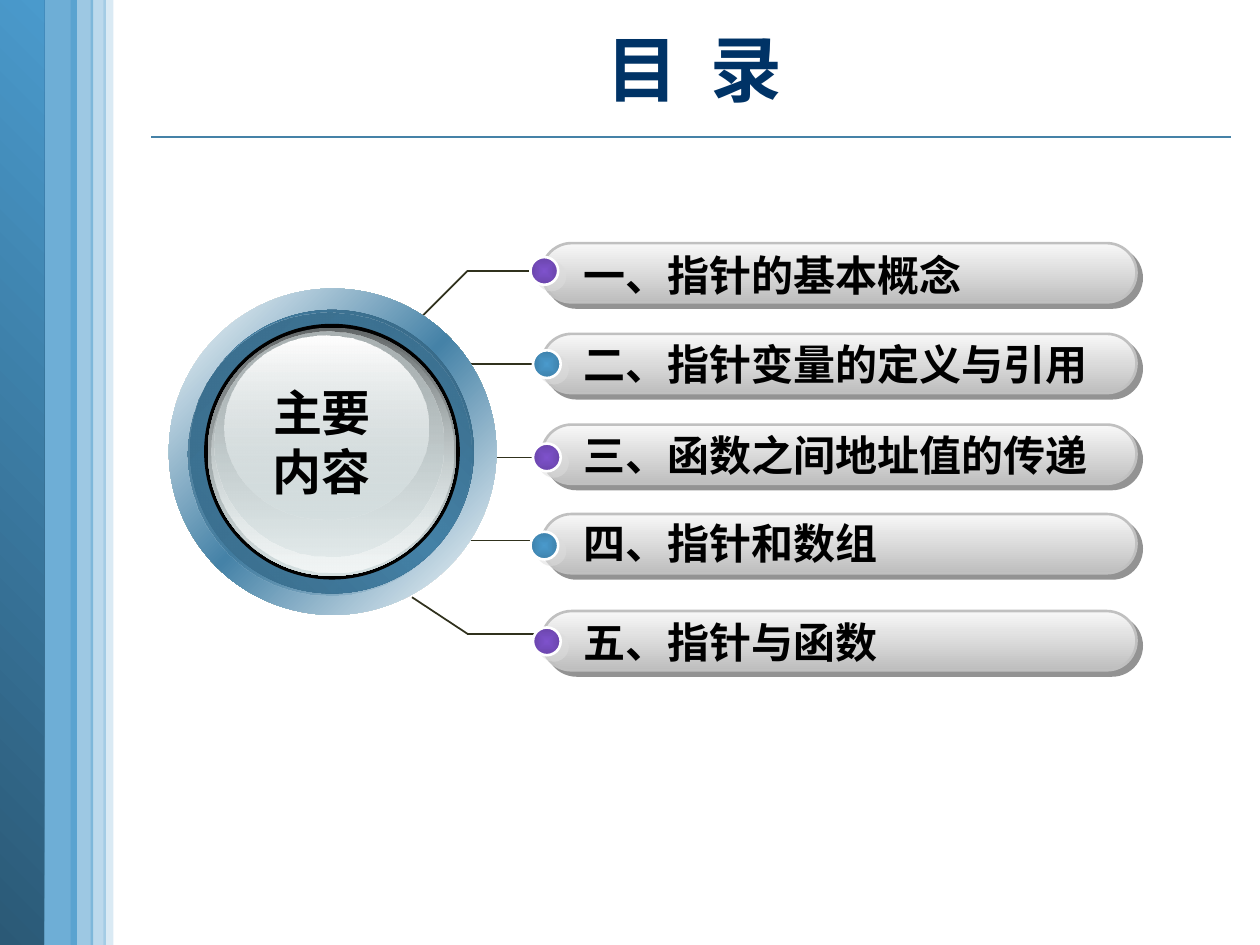
import pptx
import pptx.util
import pptx.dml.color
import pptx.enum.shapes
import pptx.enum.text
import pptx.oxml
import pptx.oxml.ns

Inches = pptx.util.Inches
Pt = pptx.util.Pt
RGB = pptx.dml.color.RGBColor.from_string
SHAPE = pptx.enum.shapes.MSO_SHAPE
ALIGN = pptx.enum.text.PP_ALIGN
ANCHOR = pptx.enum.text.MSO_ANCHOR
AUTO_SIZE = pptx.enum.text.MSO_AUTO_SIZE
NS = pptx.oxml.ns.nsdecls("a")

COLORS = {
    "sky": "4A9ACC", "steel": "4582A7", "navy": "003366", "deep": "2B5976",
    "slate": "356480", "teal": "396B89", "blue_edge": "3E81AB",
    "purple": "7E52CC", "purple_edge": "6A45AB", "olive": "30311D",
    "white": "FFFFFF", "black": "000000", "pill_light": "F8F8F8",
    "pill_dark": "BEBEBE", "pill_line": "C0C0C0", "pill_shadow": "292929",
    "dot_shadow": "DDDDDD", "glass": "D6E1E2", "glass_dark": "636869",
    "glass_mid": "AAB2B3", "glass_light": "F1F5F5",
}


def add_filled(kind, box, stops, angle=None, line=None, shadow=None):
    shape = slide.shapes.add_shape(kind, *map(Inches, box))
    shape.shadow.inherit = False
    tints = [f'<a:srgbClr val="{COLORS[name]}"><a:alpha val="{alpha * 1000}"/></a:srgbClr>'
             for name, alpha in stops]
    if len(tints) == 1:
        fill = f'<a:solidFill {NS}>{tints[0]}</a:solidFill>'
    else:
        step = 100000 // (len(tints) - 1)
        marks = "".join(f'<a:gs pos="{i * step}">{tint}</a:gs>' for i, tint in enumerate(tints))
        if angle is None:
            course = ('<a:path path="shape"><a:fillToRect l="50000" t="50000" '
                      'r="50000" b="50000"/></a:path>')
        else:
            course = f'<a:lin ang="{angle * 60000}" scaled="1"/>'
        fill = f'<a:gradFill {NS} rotWithShape="1"><a:gsLst>{marks}</a:gsLst>{course}</a:gradFill>'
    properties = shape._element.spPr
    properties.find(pptx.oxml.ns.qn("a:prstGeom")).addnext(pptx.oxml.parse_xml(fill))
    if line:
        shape.line.color.rgb = RGB(COLORS[line])
        shape.line.width = Pt(1.5)
    else:
        shape.line.fill.background()
    if shadow:
        name, distance, direction = shadow
        properties.find(pptx.oxml.ns.qn("a:effectLst")).append(pptx.oxml.parse_xml(
            f'<a:outerShdw {NS} dist="{Pt(distance)}" dir="{direction * 60000}" algn="ctr" '
            f'rotWithShape="0"><a:srgbClr val="{COLORS[name]}"><a:alpha val="50000"/>'
            '</a:srgbClr></a:outerShdw>'))
    return shape


def write(frame, text, size, color, align, anchor, wrap):
    frame.word_wrap = wrap
    frame.auto_size = AUTO_SIZE.NONE
    frame.vertical_anchor = anchor
    paragraph = frame.paragraphs[0]
    paragraph.text = text
    paragraph.alignment = align
    paragraph.font.name = "Arial"
    paragraph.font.size = Pt(size)
    paragraph.font.bold = True
    paragraph.font.color.rgb = RGB(COLORS[color])


deck = pptx.Presentation()
deck.slide_width, deck.slide_height = Inches(10), Inches(7.5)
slide = deck.slides.add_slide(deck.slide_layouts[5])

title = slide.shapes.title
title.left, title.top, title.width, title.height = map(Inches, (1.16, -0.02, 8.7, 1.11))
write(title.text_frame, "目  录", 41, "navy", ALIGN.CENTER, ANCHOR.MIDDLE, True)

side_bands = [
    ((0.3, 0, 0.31, 7.53), [("sky", 80)]),
    ((-0.01, 0, 0.36, 7.5), [("deep", 100), ("sky", 100)]),
    ((0.82, -0.02, 0.08, 7.52), [("sky", 20)]),
    ((0.56, 0, 0.18, 7.51), [("sky", 54)]),
    ((0.72, 0, 0.12, 7.52), [("sky", 37)]),
]
for box, stops in side_bands:
    add_filled(SHAPE.RECTANGLE, box, stops, 315)

rules = [
    (1.2, 1.09, 9.77, 1.09, "steel"),
    (3.64, 2.89, 4.31, 2.89, "olive"),
    (3.71, 3.63, 4.31, 3.63, "olive"),
    (3.64, 4.29, 4.31, 4.29, "olive"),
    (3.71, 2.15, 4.31, 2.15, "olive"),
    (3.34, 2.52, 3.71, 2.15, "olive"),
    (3.71, 5.03, 4.31, 5.03, "olive"),
    (3.27, 4.74, 3.71, 5.03, "olive"),
]
for *ends, color in rules:
    rule = slide.shapes.add_connector(
        pptx.enum.shapes.MSO_CONNECTOR.STRAIGHT, *map(Inches, ends))
    rule.line.color.rgb = RGB(COLORS[color])
    rule.line.width = Pt(1)
    rule._element.spPr.append(pptx.oxml.parse_xml(f"<a:effectLst {NS}/>"))

purple_dot = [("purple", 100), ("purple_edge", 100)]
blue_dot = [("sky", 100), ("blue_edge", 100)]
topics = [
    ("一、指针的基本概念", 1.93, 1.93, 3.25, 4.21, 2.04, purple_dot),
    ("二、指针变量的定义与引用", 2.65, 2.64, 4.26, 4.23, 2.78, blue_dot),
    ("三、函数之间地址值的传递", 3.37, 3.36, 4.26, 4.23, 3.52, purple_dot),
    ("四、指针和数组", 4.08, 4.06, 2.66, 4.21, 4.22, blue_dot),
    ("五、指针与函数", 4.85, 4.84, 2.57, 4.23, 4.98, purple_dot),
]
for topic, pill_top, text_top, text_width, dot_left, dot_top, dot_stops in topics:
    pill = add_filled(SHAPE.ROUNDED_RECTANGLE, (4.3, pill_top, 4.72, 0.47),
                      [("pill_light", 100), ("pill_dark", 100)], 90,
                      "pill_line", ("pill_shadow", 4.2, 45))
    pill.adjustments[0] = 0.5
    add_filled(SHAPE.OVAL, (dot_left, dot_top, 0.22, 0.22), dot_stops,
               line="white", shadow=("dot_shadow", 5, 37))
    label = slide.shapes.add_textbox(*map(Inches, (4.53, text_top, text_width, 0.5)))
    write(label.text_frame, topic, 24, "black", ALIGN.LEFT, ANCHOR.MIDDLE, False)

button_layers = [
    ((1.34, 2.29, 2.6, 2.59), [("white", 100), ("steel", 100), ("white", 100)], 45),
    ((1.51, 2.46, 2.25, 2.25), [("slate", 100), ("steel", 100), ("slate", 100)], 315),
    ((1.49, 2.48, 2.25, 2.25), [("teal", 100), ("steel", 0)], 45),
    ((1.62, 2.57, 2.03, 2.03), [("black", 100)], None),
    ((1.65, 2.6, 1.97, 1.97), [("glass_dark", 100), ("glass", 100)], 90),
    ((1.68, 2.62, 1.92, 1.92), [("glass", 0), ("glass_light", 100)], 90),
    ((1.7, 2.63, 1.82, 1.79), [("glass_mid", 100), ("glass", 48)], 90),
    ((1.78, 2.66, 1.62, 1.46), [("white", 100), ("glass", 38)], 90),
]
for box, stops, angle in button_layers:
    add_filled(SHAPE.OVAL, box, stops, angle)

button_label = slide.shapes.add_textbox(*map(Inches, (1.98, 2.99, 1.15, 1.04)))
write(button_label.text_frame, "主要内容", 28, "black", ALIGN.CENTER, ANCHOR.TOP, True)

deck.save("out.pptx")
